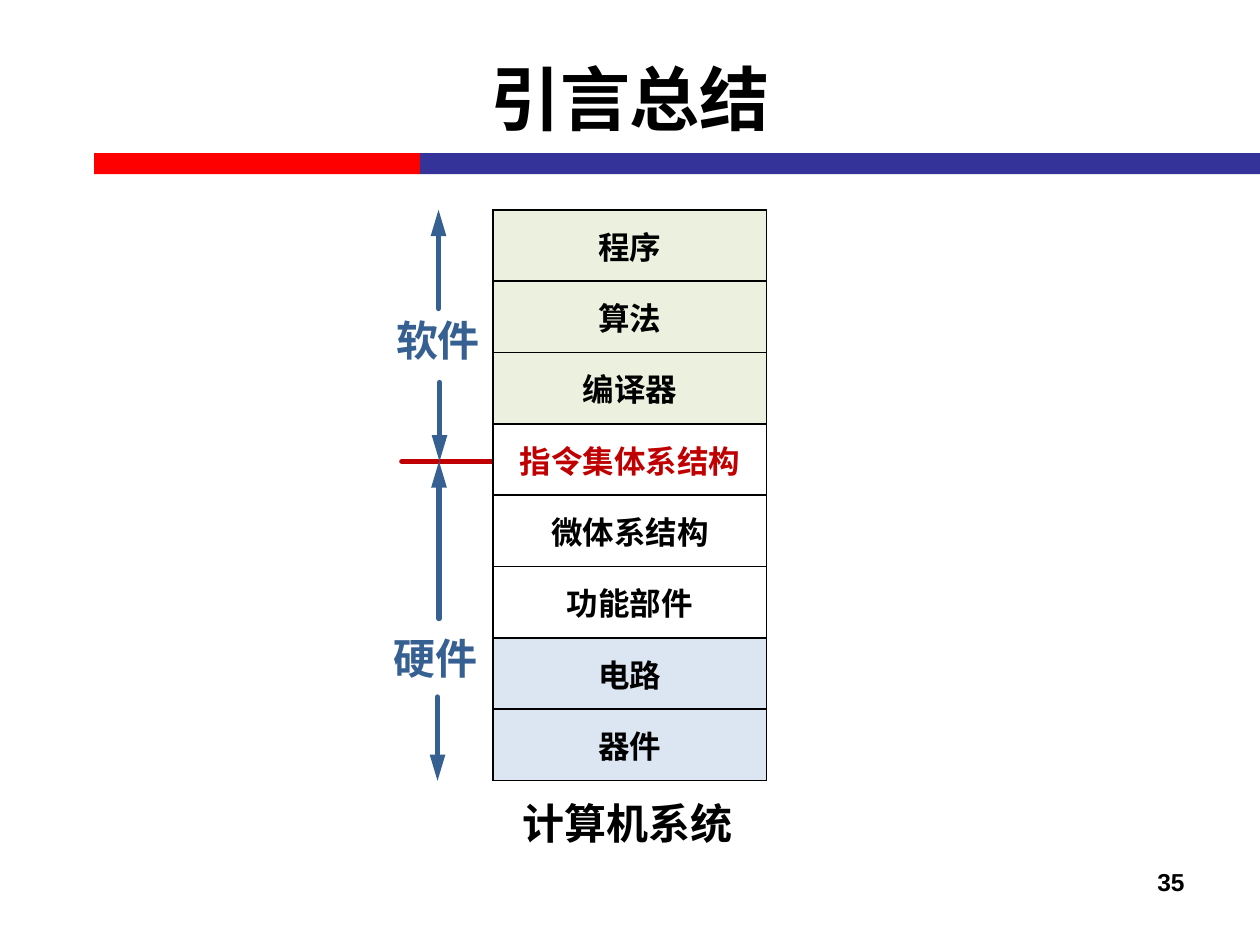
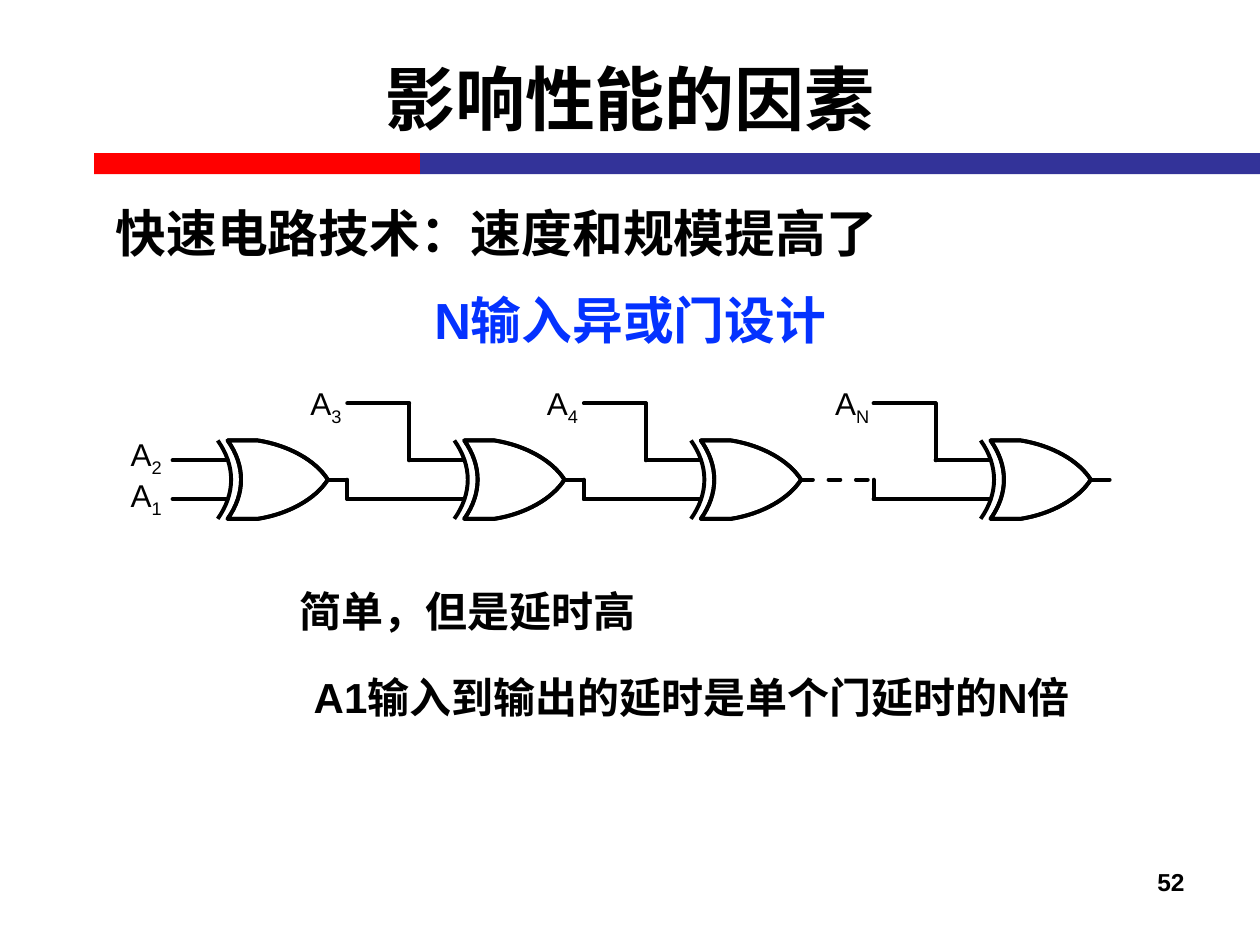
from dataclasses import dataclass
from typing import NamedTuple

from lxml.etree import SubElement
from pptx import Presentation
from pptx.dml.color import RGBColor
from pptx.enum.dml import MSO_LINE
from pptx.enum.shapes import MSO_CONNECTOR, MSO_SHAPE
from pptx.enum.text import MSO_ANCHOR, PP_ALIGN
from pptx.oxml.ns import qn
from pptx.util import Cm, Pt


@dataclass(frozen=True)
class Theme:
    font: str = "Arial"
    black: str = "000000"
    white: str = "FFFFFF"
    red_band: str = "FF0000"
    blue_band: str = "333399"
    arrow_blue: str = "376092"
    isa_red: str = "C00000"
    topic_blue: str = "0432FF"
    software_fill: str = "EBF1DE"
    circuit_fill: str = "DCE6F2"
    title: float = 40
    heading: float = 29
    body: float = 24
    label: float = 18
    page: float = 14
    arrow_width: float = 3
    wire_width: float = 2.25
    border_width: float = 1


THEME = Theme()


class Point(NamedTuple):
    x: float
    y: float


class Box(NamedTuple):
    left: float
    top: float
    width: float
    height: float

    def lengths(self) -> list[Cm]:
        return [Cm(value) for value in self]


class ArrowSpan(NamedTuple):
    x: float
    start: float
    end: float


@dataclass(frozen=True)
class Caption:
    text: str
    box: Box
    size: float = THEME.body
    color: str = THEME.black
    bold: bool = True
    align: PP_ALIGN = PP_ALIGN.CENTER
    anchor: MSO_ANCHOR = MSO_ANCHOR.TOP
    wrap: bool = True
    subscript: str = ""


@dataclass(frozen=True)
class Layer:
    name: str
    fill: str = THEME.white
    color: str = THEME.black


@dataclass(frozen=True)
class Gate:
    left: float
    feed: str = ""
    output: float = 0.38
    dashed: bool = False


BANDS = [
    (Box(1.9, 3.09, 6.57, 0.42), THEME.red_band),
    (Box(8.47, 3.09, 16.93, 0.42), THEME.blue_band),
]

# System layers
LAYERS = [
    Layer("程序", THEME.software_fill),
    Layer("算法", THEME.software_fill),
    Layer("编译器", THEME.software_fill),
    Layer("指令集体系结构", color=THEME.isa_red),
    Layer("微体系结构"),
    Layer("功能部件"),
    Layer("电路", THEME.circuit_fill),
    Layer("器件", THEME.circuit_fill),
]
STACK = Box(9.94, 4.23, 5.51, 11.51)
STACK_BOTTOM = STACK.top + STACK.height
ISA_Y = 9.3
ARROW_SPANS = [
    ArrowSpan(8.84, 6.22, STACK.top),
    ArrowSpan(8.86, 7.71, ISA_Y),
    ArrowSpan(8.85, 12.47, ISA_Y),
    ArrowSpan(8.82, 14.05, STACK_BOTTOM),
]
STACK_CAPTIONS = [
    Caption("计算机系统", Box(10.21, 15.95, 4.88, 1.27), wrap=False),
    Caption("软件", Box(7.7, 6.22, 2.26, 1.27), color=THEME.arrow_blue, wrap=False),
    Caption("硬件", Box(7.65, 12.62, 2.26, 1.27), color=THEME.arrow_blue, wrap=False),
]

# Chain of XOR gates; horizontal distances count from a gate's left edge
GATE_PITCH, FIRST_GATE = 4.77, 4.59
GATE_Y, GATE_HALF, PIN_OFFSET, FEED_Y = 9.67, 0.79, 0.39, 8.13
NOSE, SHOULDER, BACK_GAP = 2.02, 0.61, 0.2
PIN_START, LINK_START = -1.11, -2.36
GATES = [
    Gate(FIRST_GATE),
    Gate(FIRST_GATE + GATE_PITCH, "3"),
    Gate(FIRST_GATE + 2 * GATE_PITCH, "4", output=1.35, dashed=True),
    Gate(19.97, "N"),
]
DELAY_CAPTIONS = [
    Caption("N输入异或门设计", Box(8.24, 5.7, 8.94, 1.5), THEME.heading, THEME.topic_blue),
    Caption("简单，但是延时高", Box(5.79, 11.68, 16.31, 1.27), align=PP_ALIGN.LEFT),
    Caption("快速电路技术：速度和规模提高了", Box(2.08, 3.8, 22.86, 1.75), THEME.heading,
            align=PP_ALIGN.LEFT, anchor=MSO_ANCHOR.MIDDLE, wrap=False),
    Caption("A1输入到输出的延时是单个门延时的N倍", Box(5.79, 13.41, 16.31, 1.27)),
]


def rgb(color: str) -> RGBColor:
    return RGBColor.from_string(color)


def style_paragraph(paragraph, size: float, color: str, bold: bool, align: PP_ALIGN) -> None:
    paragraph.alignment = align
    font = paragraph.font
    font.name, font.size, font.bold = THEME.font, Pt(size), bold
    font.color.rgb = rgb(color)


def add_caption(slide, caption: Caption) -> None:
    frame = slide.shapes.add_textbox(*caption.box.lengths()).text_frame
    frame.word_wrap = caption.wrap
    frame.vertical_anchor = caption.anchor
    paragraph = frame.paragraphs[0]
    style_paragraph(paragraph, caption.size, caption.color, caption.bold, caption.align)
    paragraph.add_run().text = caption.text
    if caption.subscript:
        subscript = paragraph.add_run()
        subscript.text = caption.subscript
        subscript._r.get_or_add_rPr().set("baseline", "-25000")


def add_line(slide, start: Point, end: Point, color: str, width: float,
             arrow: bool = False, dashed: bool = False) -> None:
    connector = slide.shapes.add_connector(
        MSO_CONNECTOR.STRAIGHT, *(Cm(value) for value in (*start, *end)))
    line = connector.line
    line.color.rgb, line.width = rgb(color), Pt(width)
    if dashed:
        line.dash_style = MSO_LINE.DASH
    outline = line._get_or_add_ln()
    outline.set("cap", "rnd")
    if arrow:
        SubElement(outline, qn("a:tailEnd"), type="triangle", w="med", len="lg")
    SubElement(connector._element.spPr, qn("a:effectLst"))


def add_wire(slide, *points: Point, dashed: bool = False) -> None:
    """Draw a wire through the points, one straight piece after another."""
    for start, end in zip(points, points[1:]):
        add_line(slide, start, end, THEME.black, THEME.wire_width, dashed=dashed)


def bend_segments(outline, curve_starts: list[int]) -> None:
    """Turn each three line segments that begin at a given index into one Bezier curve."""
    segments = list(outline._element.iter(qn("a:lnTo")))
    for start in curve_starts:
        first, *others = segments[start:start + 3]
        curve = first.makeelement(qn("a:cubicBezTo"))
        first.addprevious(curve)
        for segment in (first, *others):
            curve.append(segment[0])
            segment.getparent().remove(segment)


def add_gate_outline(slide, left: float, filled: bool) -> None:
    """Draw the gate body, either filled or as an open outline with the second back arc."""
    def at(x: float, y: float) -> tuple[Cm, Cm]:
        return Cm(left + x), Cm(GATE_Y + y)

    def back(x: float) -> list[tuple[Cm, Cm]]:
        return [at(x + 0.36, 0.28), at(x + 0.36, -0.28), at(x, -GATE_HALF)]

    body = [
        at(1.78, 0.38), at(1.24, 0.69), at(SHOULDER, GATE_HALF),
        at(0, GATE_HALF), *back(0),
        at(SHOULDER, -GATE_HALF),
        at(1.24, -0.69), at(1.78, -0.38), at(NOSE, 0),
    ]
    curve_starts = [0, 4, 8]
    builder = slide.shapes.build_freeform(*at(NOSE, 0))
    builder.add_line_segments(body, close=True)
    if not filled:
        builder.move_to(*at(-BACK_GAP, GATE_HALF))
        builder.add_line_segments(back(-BACK_GAP), close=False)
        curve_starts.append(len(body))
    outline = builder.convert_to_shape()
    bend_segments(outline, curve_starts)
    outline.shadow.inherit = False
    if filled:
        outline.fill.solid()
        outline.fill.fore_color.rgb = rgb(THEME.white)
    else:
        outline.fill.background()
    outline.line.color.rgb = rgb(THEME.black)
    outline.line.width = Pt(THEME.wire_width)


def add_input_label(slide, subscript: str, center: float, top: float) -> None:
    box = Box(center - 0.65, top, 1.3, 1.02)
    add_caption(slide, Caption("A", box, THEME.label, bold=False, wrap=False,
                               subscript=subscript))


def add_gate(slide, gate: Gate) -> None:
    left, upper_pin, lower_pin = gate.left, GATE_Y - PIN_OFFSET, GATE_Y + PIN_OFFSET
    for filled in (True, False):
        add_gate_outline(slide, left, filled)
    nose = Point(left + NOSE, GATE_Y)
    add_wire(slide, nose, Point(nose.x + gate.output, GATE_Y), dashed=gate.dashed)
    turn, link = left + PIN_START, left + LINK_START
    if gate.feed:
        add_wire(slide, Point(link, FEED_Y), Point(turn, FEED_Y),
                 Point(turn, upper_pin), Point(left, upper_pin))
        add_wire(slide, Point(link, GATE_Y), Point(link, lower_pin), Point(left, lower_pin))
        add_input_label(slide, gate.feed, left - 2.79, 7.62)
    else:
        for subscript, pin, top in (("2", upper_pin, 8.64), ("1", lower_pin, 9.47)):
            add_wire(slide, Point(turn, pin), Point(left, pin))
            add_input_label(slide, subscript, left - 1.64, top)


def add_layer_stack(slide) -> None:
    stack = slide.shapes.add_table(len(LAYERS), 1, *STACK.lengths()).table
    stack.first_row = stack.horz_banding = False
    for row, layer in zip(stack.rows, LAYERS):
        cell = row.cells[0]
        cell.text = layer.name
        cell.vertical_anchor = MSO_ANCHOR.MIDDLE
        style_paragraph(cell.text_frame.paragraphs[0], THEME.label, layer.color,
                        True, PP_ALIGN.CENTER)
        properties = cell._tc.get_or_add_tcPr()
        for side in ("a:lnL", "a:lnR", "a:lnT", "a:lnB"):
            border = SubElement(properties, qn(side), w=str(Pt(THEME.border_width)))
            paint = SubElement(border, qn("a:solidFill"))
            SubElement(paint, qn("a:srgbClr"), val=THEME.black)
        cell.fill.solid()
        cell.fill.fore_color.rgb = rgb(layer.fill)


def add_base_slide(deck, title: str, page: int):
    """Add a slide with the bands, title and page number all slides share."""
    slide = deck.slides.add_slide(deck.slide_layouts[6])
    for box, color in BANDS:
        band = slide.shapes.add_shape(MSO_SHAPE.RECTANGLE, *box.lengths())
        band.shadow.inherit = False
        band.fill.solid()
        band.fill.fore_color.rgb = rgb(color)
        band.line.fill.background()
    add_caption(slide, Caption(title, Box(1.27, 0.38, 22.86, 3.18), THEME.title,
                               anchor=MSO_ANCHOR.MIDDLE))
    add_caption(slide, Caption(str(page), Box(18.21, 17.35, 5.92, 1.32), THEME.page,
                               align=PP_ALIGN.RIGHT))
    return slide


def build_summary(deck) -> None:
    slide = add_base_slide(deck, "引言总结", 35)
    add_line(slide, Point(8.1, ISA_Y), Point(STACK.left, ISA_Y),
             THEME.isa_red, THEME.arrow_width)
    for span in ARROW_SPANS:
        add_line(slide, Point(span.x, span.start), Point(span.x, span.end),
                 THEME.arrow_blue, THEME.arrow_width, arrow=True)
    add_layer_stack(slide)
    for caption in STACK_CAPTIONS:
        add_caption(slide, caption)


def build_performance(deck) -> None:
    slide = add_base_slide(deck, "影响性能的因素", 52)
    for gate in GATES:
        add_gate(slide, gate)
    for caption in DELAY_CAPTIONS:
        add_caption(slide, caption)


def main() -> None:
    deck = Presentation()
    deck.slide_width, deck.slide_height = Cm(25.4), Cm(19.05)
    build_summary(deck)
    build_performance(deck)
    deck.save("out.pptx")


if __name__ == "__main__":
    main()
